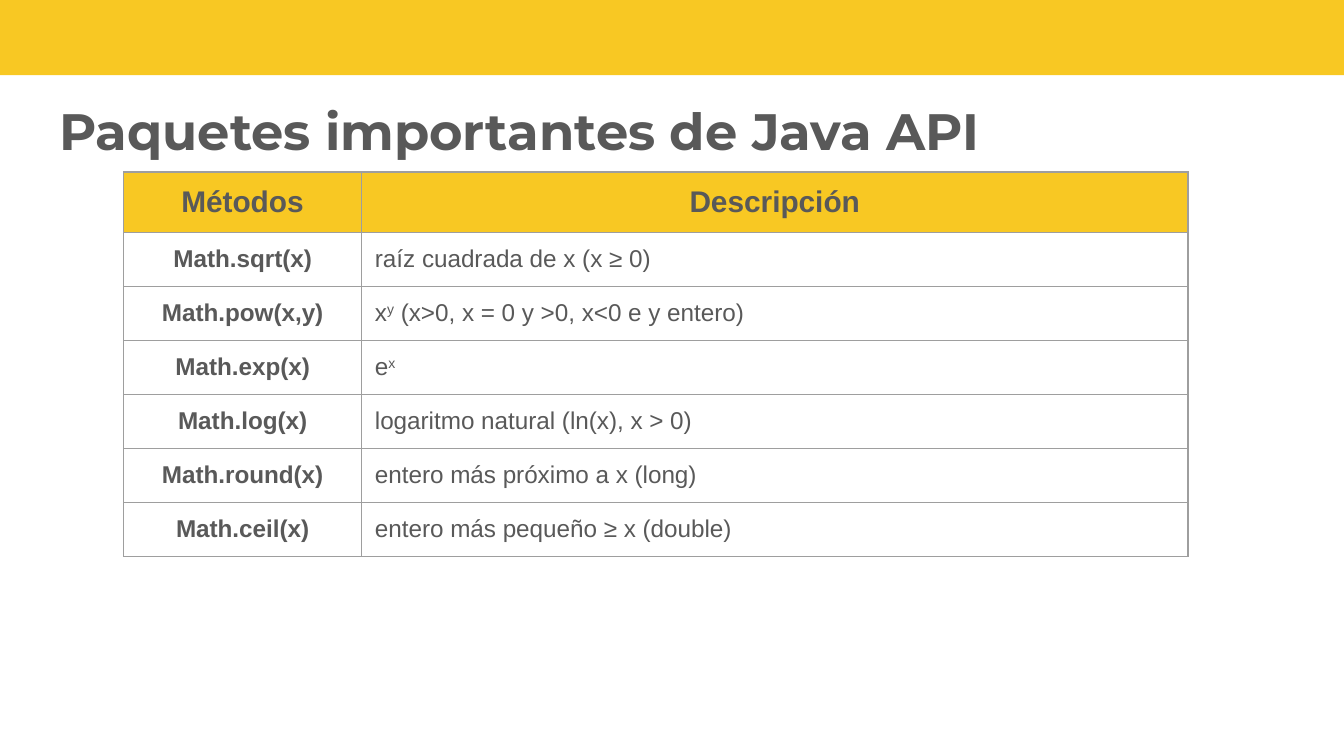
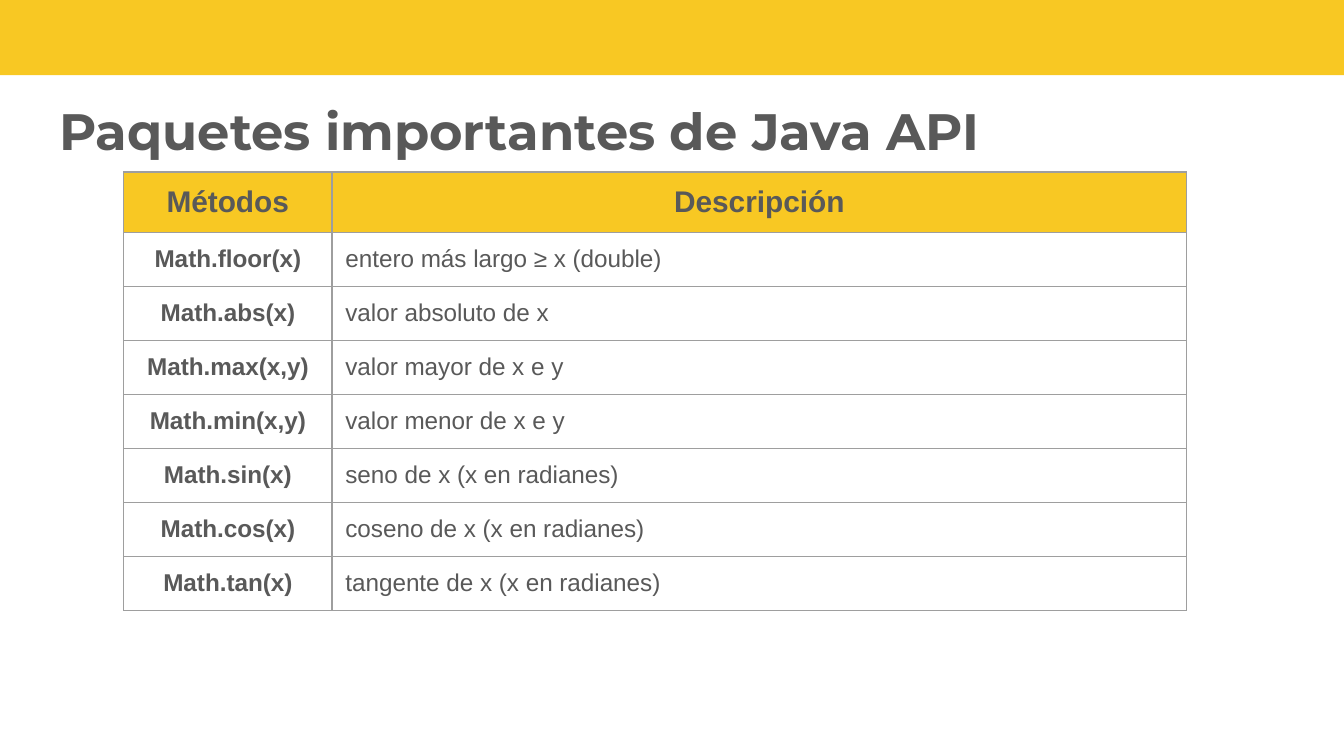
from lxml.etree import SubElement
from pptx import Presentation
from pptx.dml.color import RGBColor as RGB
from pptx.enum.shapes import MSO_SHAPE as Shape
from pptx.enum.text import MSO_ANCHOR as Anchor, MSO_AUTO_SIZE as Fit, PP_ALIGN as Align
from pptx.oxml.ns import qn
from pptx.util import Inches, Pt

COLORS = {"band": "F8C823", "text": "595959", "rule": "9E9E9E"}
TITLE = "Paquetes importantes de Java API"
HEAD = ("Métodos", "Descripción")

# Text between two ^ marks is superscript.
SLIDES = [
    ((1.77, 6.15), [
        ("Math.sqrt(x)", "raíz cuadrada de x (x ≥ 0)"),
        ("Math.pow(x,y)", "x^y^ (x>0, x = 0 y >0, x<0 e y entero)"),
        ("Math.exp(x)", "e^x^"),
        ("Math.log(x)", "logaritmo natural (ln(x), x > 0)"),
        ("Math.round(x)", "entero más próximo a x (long)"),
        ("Math.ceil(x)", "entero más pequeño ≥ x (double)"),
    ]),
    ((1.55, 6.36), [
        ("Math.floor(x)", "entero más largo ≥ x (double)"),
        ("Math.abs(x)", "valor absoluto de x"),
        ("Math.max(x,y)", "valor mayor de x e y"),
        ("Math.min(x,y)", "valor menor de x e y"),
        ("Math.sin(x)", "seno de x (x en radianes)"),
        ("Math.cos(x)", "coseno de x (x en radianes)"),
        ("Math.tan(x)", "tangente de x (x en radianes)"),
    ]),
]


def write(frame, text, size, font="Arial", bold=True, align=Align.LEFT):
    """Fill a text frame, raising the parts between ^ marks."""
    para = frame.paragraphs[0]
    para.alignment = align
    for i, part in enumerate(text.split("^")):
        if not part:
            continue
        run = para.add_run()
        run.text = part
        run.font.size = Pt(size)
        run.font.name = font
        run.font.bold = bold
        run.font.color.rgb = RGB.from_string(COLORS["text"])
        if i % 2:
            run.font._element.set("baseline", "30000")


def border(cell):
    props = cell._tc.get_or_add_tcPr()
    for side in ("lnL", "lnR", "lnT", "lnB"):
        line = SubElement(props, qn(f"a:{side}"), w=str(Pt(0.75)))
        fill = SubElement(line, qn("a:solidFill"))
        SubElement(fill, qn("a:srgbClr"), val=COLORS["rule"])


deck = Presentation()
deck.slide_width = Inches(10)
deck.slide_height = deck.slide_width * 9 // 16
layout = deck.slide_layouts[5]
pages = [deck.slides.add_slide(layout) for _ in SLIDES]

# The band is drawn once, then moved to the layout behind everything else.
band = pages[0].shapes.add_shape(
    Shape.RECTANGLE, Inches(-0.01), Inches(-0.05), Inches(10.03), Inches(0.61))
band.shadow.inherit = False
band.fill.solid()
band.fill.fore_color.rgb = RGB.from_string(COLORS["band"])
band.line.fill.background()
layout.shapes.element.insert(2, band.element)

for page, (widths, rows) in zip(pages, SLIDES):
    title = page.shapes.title
    title.left, title.top = Inches(0.34), Inches(0.65)
    title.width, title.height = Inches(9.3), Inches(0.63)
    frame = title.text_frame
    frame.word_wrap = True
    frame.auto_size = Fit.NONE
    frame.vertical_anchor = Anchor.MIDDLE
    frame.margin_left = frame.margin_right = Inches(0.1)
    frame.margin_top = frame.margin_bottom = Inches(0.1)
    write(frame, TITLE, 27.4, font="Montserrat")

    lines = [HEAD, *rows]
    table = page.shapes.add_table(
        len(lines), len(HEAD), Inches(0.92), Inches(1.28),
        Inches(sum(widths)), Inches(0.39 * len(lines))).table
    table.first_row = table.horz_banding = False
    for col, width in zip(table.columns, widths):
        col.width = Inches(width)

    for r, line in enumerate(lines):
        for c, text in enumerate(line):
            cell = table.cell(r, c)
            head, name = r == 0, c == 0
            cell.margin_left = cell.margin_right = Inches(0.1)
            cell.margin_top = cell.margin_bottom = Inches(0.1)
            cell.vertical_anchor = Anchor.MIDDLE if name and not head else Anchor.TOP
            border(cell)
            if head:
                cell.fill.solid()
                cell.fill.fore_color.rgb = RGB.from_string(COLORS["band"])
            else:
                cell.fill.background()
            write(cell.text_frame, text, 16 if head else 13, bold=head or name,
                  align=Align.CENTER if head or name else Align.LEFT)

deck.save("out.pptx")
